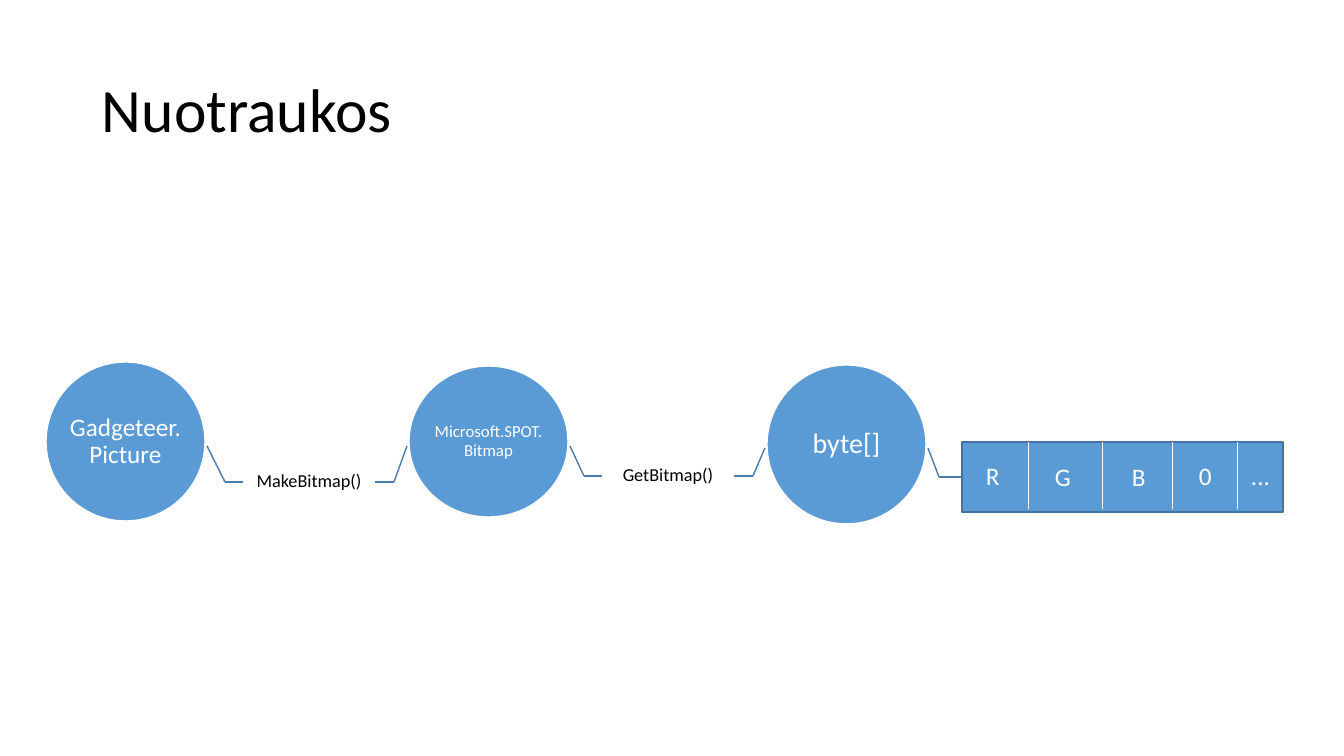
from lxml.etree import SubElement
from pptx import Presentation
from pptx.dml.color import RGBColor
from pptx.enum.shapes import MSO_CONNECTOR, MSO_SHAPE
from pptx.enum.text import MSO_ANCHOR, PP_ALIGN
from pptx.oxml.ns import qn
from pptx.util import Pt

PX = 914400 / 100.8
FONT = "Calibri"
COLORS = {
    "text": "000000",
    "light": "FFFFFF",
    "fill": "5B9BD5",
    "link": "497CAB",
    "border": "43739E",
}


def emu(*lengths):
    return [round(length * PX) for length in lengths]


def color(name):
    return RGBColor.from_string(COLORS[name])


def write(shape, text, size, ink="text", align=PP_ALIGN.CENTER,
          anchor=MSO_ANCHOR.MIDDLE, spacing=0.9, insets=(10, 10)):
    frame = shape.text_frame
    frame.word_wrap = True
    frame.vertical_anchor = anchor
    frame.margin_left = frame.margin_right = emu(insets[0])[0]
    frame.margin_top = frame.margin_bottom = emu(insets[1])[0]
    paragraph = frame.paragraphs[0]
    paragraph.alignment = align
    paragraph.line_spacing = spacing
    run = paragraph.add_run()
    run.text = text
    run.font.name = FONT
    run.font.size = Pt(size)
    run.font.color.rgb = color(ink)
    return shape


def add_label(slide, box, text, size, **style):
    return write(slide.shapes.add_textbox(*emu(*box)), text, size, **style)


def add_filled(slide, preset, box, border):
    shape = slide.shapes.add_shape(preset, *emu(*box))
    shape.shadow.inherit = False
    shape.fill.solid()
    shape.fill.fore_color.rgb = color("fill")
    shape.line.color.rgb = color(border)
    shape.line.width = Pt(1)
    return shape


def add_line(slide, start, end, ink="link", width=1):
    line = slide.shapes.add_connector(MSO_CONNECTOR.STRAIGHT, *emu(*start, *end))
    line.line.color.rgb = color(ink)
    line.line.width = Pt(width)
    SubElement(line._element.spPr, qn("a:effectLst"))
    return line


def add_title(slide, box, text):
    add_label(slide, box, text, 44, align=PP_ALIGN.LEFT, insets=(10, 5))


def add_type_circle(slide, box, text, size):
    circle = add_filled(slide, MSO_SHAPE.OVAL, box, "light")
    write(circle, text, size, ink="light", insets=(0, 0))


def add_link_in(slide, start, bend_x, target, box):
    left, top, _, height = box
    bend = (bend_x, top + height // 2)
    add_line(slide, start, bend)
    add_line(slide, bend, (left, bend[1])).end_connect(target, 1)


def add_link_out(slide, source, box, bend_x, end):
    left, top, width, height = box
    bend = (bend_x, top + height // 2)
    add_line(slide, (left + width, bend[1]), bend).begin_connect(source, 3)
    add_line(slide, bend, end)


def add_method(slide, box, text, start, bends, end):
    method = add_label(slide, box, text, 13)
    add_link_in(slide, start, bends[0], method, box)
    add_link_out(slide, method, box, bends[1], end)


def add_byte_strip(slide, box, cells, dividers, start, bend_x):
    left, top, _, height = box
    strip = add_filled(slide, MSO_SHAPE.RECTANGLE, box, "border")
    add_link_in(slide, start, bend_x, strip, box)
    for offset in dividers:
        x = left + offset
        add_line(slide, (x, top), (x, top + height - 3), "light", 0.5)
    for text, dx, dy, width in cells:
        add_label(slide, (left + dx, top + dy, width, 40), text, 18, ink="light",
                  align=PP_ALIGN.LEFT, anchor=MSO_ANCHOR.TOP, spacing=1.0,
                  insets=(10, 5))


def build_photo_slide(slide):
    add_title(slide, (92, 40, 1159, 146), "Nuotraukos")
    add_type_circle(slide, (46, 362, 159, 159), "Gadgeteer.Picture", 18)
    add_type_circle(slide, (409, 366, 159, 151), "Microsoft.SPOT.Bitmap", 12)
    add_type_circle(slide, (767, 365, 159, 159), "byte[]", 20)
    add_method(slide, (243, 442, 132, 80), "MakeBitmap()",
               (207, 446), (225, 394), (407, 446))
    add_method(slide, (602, 436, 132, 80), "GetBitmap()",
               (570, 446), (584, 753), (765, 448))
    cells = [("R", 14, 13, 30), ("G", 83, 14, 57), ("B", 160, 14, 57),
             ("0", 227, 13, 34), ("...", 279, 13, 48)]
    add_byte_strip(slide, (962, 442, 321, 70), cells, (66, 140, 210, 275),
                   (928, 448), 939)


def main():
    deck = Presentation()
    deck.slide_width, deck.slide_height = emu(1344, 756)
    build_photo_slide(deck.slides.add_slide(deck.slide_layouts[6]))
    deck.save("out.pptx")


if __name__ == "__main__":
    main()
